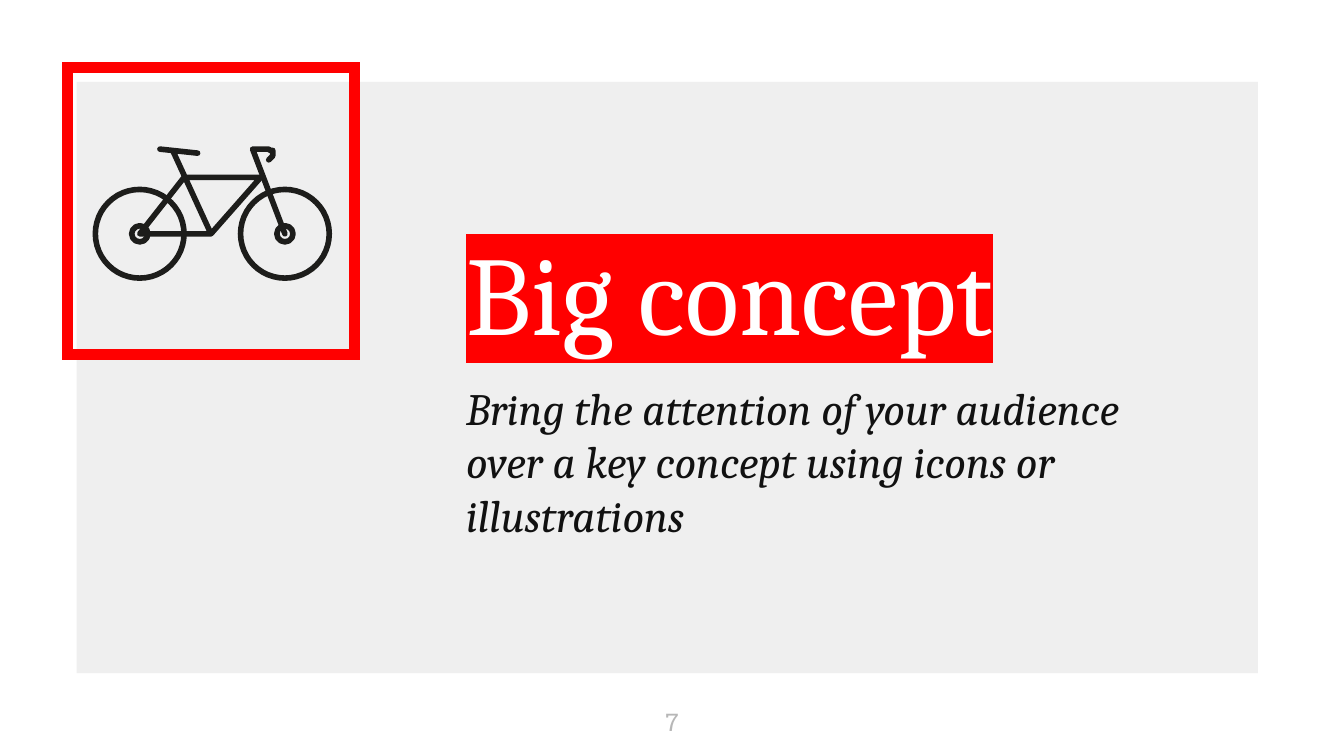
from typing import NamedTuple

from lxml import etree
from pptx import Presentation
from pptx.dml.color import RGBColor
from pptx.enum.shapes import MSO_SHAPE
from pptx.enum.text import MSO_ANCHOR, MSO_AUTO_SIZE, PP_ALIGN
from pptx.oxml.ns import qn
from pptx.util import Inches, Pt

RECT, OVAL = MSO_SHAPE.RECTANGLE, MSO_SHAPE.OVAL
TOP, BOTTOM = MSO_ANCHOR.TOP, MSO_ANCHOR.BOTTOM
LEFT, CENTER = PP_ALIGN.LEFT, PP_ALIGN.CENTER
NO_FIT = MSO_AUTO_SIZE.NONE
TITLE_ONLY = 5
RED, PANEL, INK = "FF0000", "EFEFEF", "1D1D1B"
AXLE_Y = 1.74
UNITS = 100


class Box(NamedTuple):
    x: float
    y: float
    w: float
    h: float


class Circle(NamedTuple):
    x: float
    r: float


class Stroke(NamedTuple):
    points: list


class Text(NamedTuple):
    box: Box
    text: str
    font: dict
    color: str
    anchor: MSO_ANCHOR = TOP
    align: PP_ALIGN = LEFT
    before: float = 0
    bottom: float = 0.1


CIRCLES = [Circle(x, r) for x in (1.04, 2.12) for r in (0.33, 0.06)]
STROKES = [
    Stroke([(1.29, 1.13), (1.57, AXLE_Y), (1.94, 1.32), (1.37, 1.32),
            (1.04, AXLE_Y), (1.57, AXLE_Y)]),
    Stroke([(2.12, AXLE_Y), (1.88, 1.11), (2, 1.11), (2.01, 1.12),
            (2.03, 1.12), (2.03, 1.16), (2.02, 1.17), (2, 1.19)]),
    Stroke([(1.19, 1.11), (1.47, 1.14)]),
]
TITLE = Text(Box(3.37, 1.57, 5.14, 1.27), "Big concept",
             {"size": Pt(60), "name": "Cambria"}, "FFFFFF", BOTTOM,
             bottom=0.18)
SUBTITLE = Text(Box(3.37, 2.73, 5.14, 0.86),
                "Bring the attention of your audience over a key concept "
                "using icons or illustrations",
                {"size": Pt(24), "name": "Cambria", "italic": True},
                "111111", before=6)
NUMBER = Text(Box(4.7, 5.16, 0.6, 0.43), "7",
              {"size": Pt(13), "name": "Roboto Slab"}, "B7B7B7", align=CENTER)


def rgb(color: str) -> RGBColor:
    return RGBColor.from_string(color)


def inches(box: Box) -> list:
    return [Inches(v) for v in box]


def style(sp, fill: str = "", line: str = "", width: float = 0,
          join: str = "miter") -> None:
    sp.shadow.inherit = False
    if fill:
        sp.fill.solid()
        sp.fill.fore_color.rgb = rgb(fill)
    else:
        sp.fill.background()
    if line:
        sp.line.color.rgb = rgb(line)
        sp.line.width = Pt(width)
        etree.SubElement(sp.line._get_or_add_ln(), qn(f"a:{join}"))
    else:
        sp.line.fill.background()


def add_box(shapes, kind: MSO_SHAPE, box: Box, **look) -> None:
    style(shapes.add_shape(kind, *inches(box)), **look)


def add_circle(shapes, c: Circle) -> None:
    box = Box(c.x - c.r, AXLE_Y - c.r, 2 * c.r, 2 * c.r)
    add_box(shapes, OVAL, box, line=INK, width=3, join="round")


def add_stroke(shapes, stroke: Stroke) -> None:
    start, *rest = [(round(x * UNITS), round(y * UNITS))
                    for x, y in stroke.points]
    builder = shapes.build_freeform(*start, scale=Inches(1) / UNITS)
    builder.add_line_segments(rest, close=False)
    sp = builder.convert_to_shape()
    style(sp, line=INK, width=3, join="round")
    sp.line._get_or_add_ln().set("cap", "rnd")


def write(sp, item: Text):
    sp.left, sp.top, sp.width, sp.height = inches(item.box)
    tf = sp.text_frame
    frame = {"word_wrap": True, "auto_size": NO_FIT,
             "vertical_anchor": item.anchor,
             "margin_bottom": Inches(item.bottom)}
    frame |= {f"margin_{side}": Inches(0.1)
              for side in ("left", "top", "right")}
    for name, value in frame.items():
        setattr(tf, name, value)
    p = tf.paragraphs[0]
    p.alignment = item.align
    p.space_before = Pt(item.before)
    r = p.add_run()
    r.text = item.text
    for name, value in item.font.items():
        setattr(r.font, name, value)
    r.font.color.rgb = rgb(item.color)
    return r


def highlight(r, color: str) -> None:
    mark = etree.Element(qn("a:highlight"))
    etree.SubElement(mark, qn("a:srgbClr")).set("val", color)
    r.font._element.find(qn("a:solidFill")).addnext(mark)


def main() -> None:
    prs = Presentation()
    prs.slide_width = Inches(10)
    prs.slide_height = prs.slide_width * 9 // 16
    slide = prs.slides.add_slide(prs.slide_layouts[TITLE_ONLY])
    shapes = slide.shapes
    title = shapes.title

    add_box(shapes, RECT, Box(0.57, 0.61, 8.79, 4.4), fill=PANEL)
    add_box(shapes, RECT, Box(0.5, 0.5, 2.14, 2.14), line=RED, width=6)

    highlight(write(title, TITLE), RED)
    shapes._spTree.append(title._element)
    write(shapes.add_textbox(*inches(SUBTITLE.box)), SUBTITLE)

    bike = shapes.add_group_shape().shapes
    for stroke in STROKES:
        add_stroke(bike, stroke)
    for circle in CIRCLES:
        add_circle(bike, circle)

    write(shapes.add_textbox(*inches(NUMBER.box)), NUMBER)

    prs.save("out.pptx")


if __name__ == "__main__":
    main()
